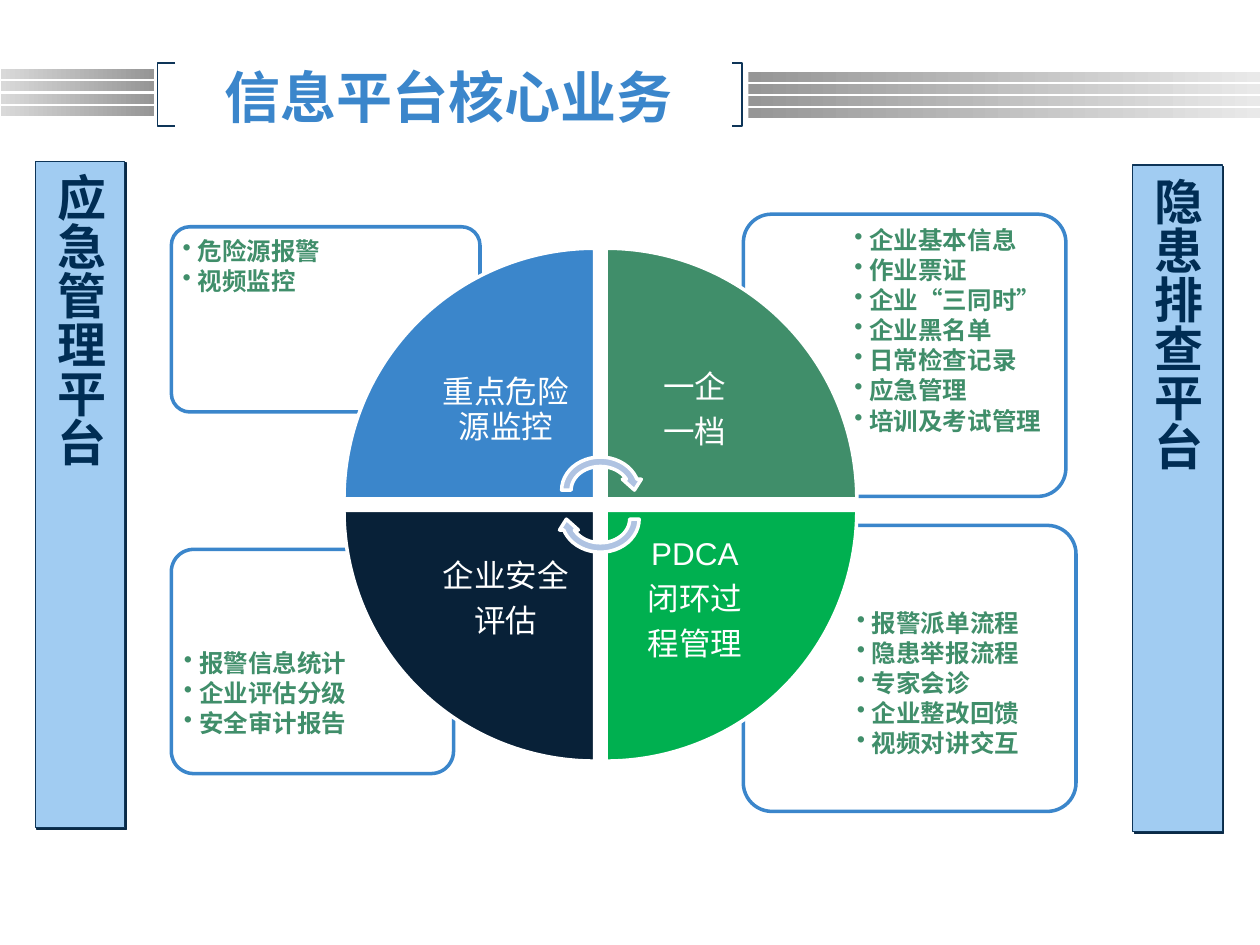
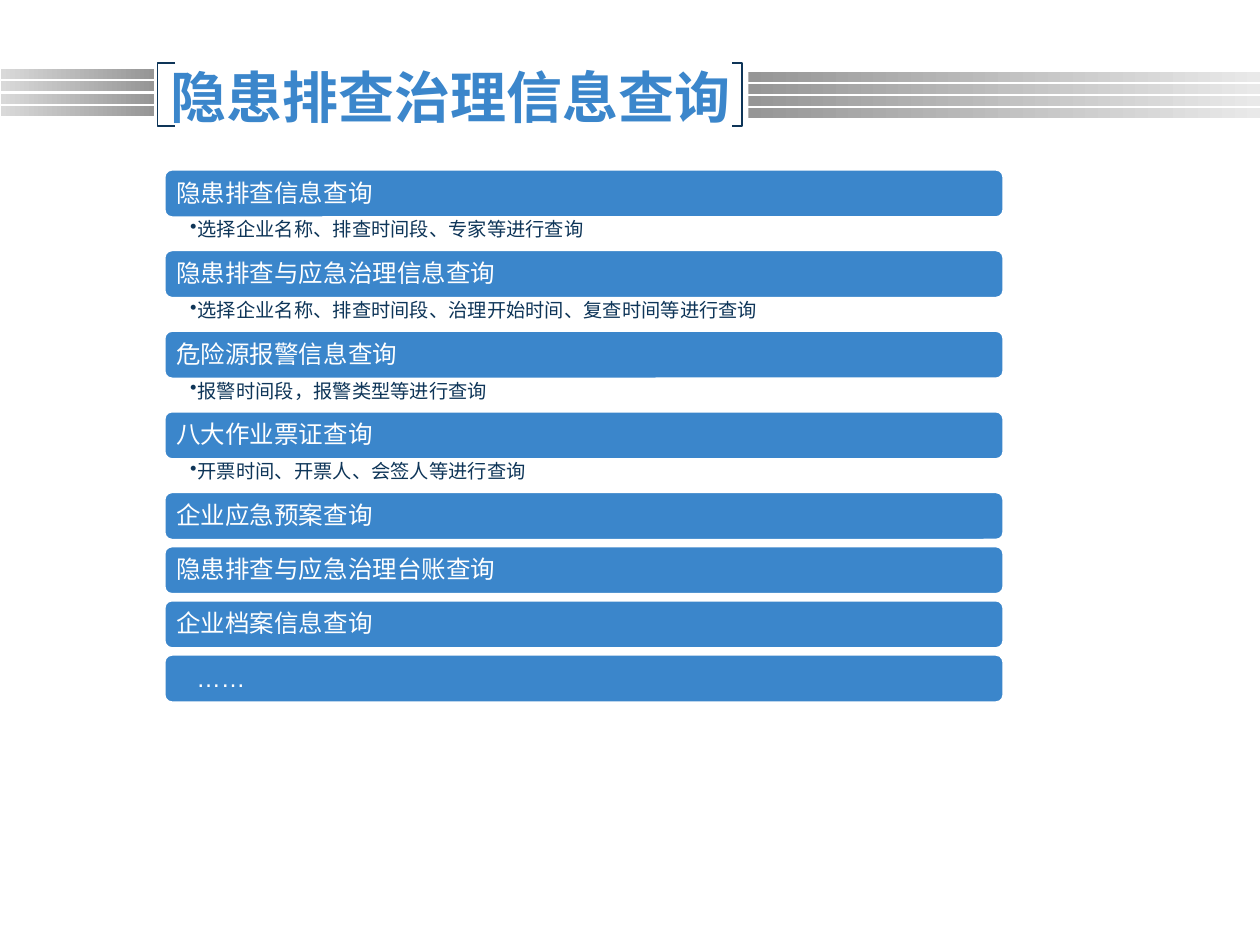
import dataclasses
import typing

import pptx
import pptx.dml.color
import pptx.enum.shapes
import pptx.enum.text
import pptx.oxml.ns
import pptx.util
from lxml import etree

Inches = pptx.util.Inches
Pt = pptx.util.Pt
SHAPE = pptx.enum.shapes.MSO_SHAPE
ALIGN = pptx.enum.text.PP_ALIGN
ANCHOR = pptx.enum.text.MSO_ANCHOR
qn = pptx.oxml.ns.qn


@dataclasses.dataclass(frozen=True)
class Theme:
    latin: str = "Arial"
    cjk: str = "Noto Sans CJK SC"
    white: str = "FFFFFF"
    blue: str = "3B86CB"
    navy: str = "0E3558"
    midnight: str = "082138"
    sea_green: str = "408E6A"
    bright_green: str = "00B050"
    arrow: str = "AFC3E2"
    pillar: str = "A1CCF2"
    pillar_text: str = "002D54"
    pillar_shadow: str = "0B2A46"
    stripe_dark: str = "969696"
    stripe_left: str = "D9D9D9"
    stripe_right: str = "E9E9E9"
    title_size: float = 32
    pillar_size: float = 28
    wedge_size: float = 18
    body_size: float = 14
    detail_size: float = 11
    line_ratio: float = 1.11


THEME = Theme()


class Box(typing.NamedTuple):
    left: float
    top: float
    width: float
    height: float

    def emu(self) -> list[int]:
        return [Inches(value) for value in self]


@dataclasses.dataclass(frozen=True)
class TextStyle:
    size: float
    color: str
    bold: bool = False
    latin: str = THEME.latin
    align: ALIGN = ALIGN.LEFT
    anchor: ANCHOR = ANCHOR.MIDDLE
    insets: tuple[float, float, float, float] = (0.1, 0.05, 0.1, 0.05)
    exact_lines: bool = True
    space_after: float = 0
    bullet_indent: float = 0
    left_indent: float = 0


TITLE = TextStyle(THEME.title_size, THEME.blue, True, THEME.cjk, ALIGN.CENTER, exact_lines=False)
PILLAR = TextStyle(THEME.pillar_size, THEME.pillar_text, True, exact_lines=False)
CALLOUT = TextStyle(THEME.body_size, THEME.sea_green, True, THEME.cjk, anchor=ANCHOR.TOP,
                    insets=(0.06,) * 4, space_after=1.7, bullet_indent=0.12)
WEDGE = TextStyle(THEME.wedge_size, THEME.white, align=ALIGN.CENTER,
                  insets=(0.14,) * 4, space_after=5.7)
HEADING = TextStyle(THEME.body_size, THEME.white, insets=(0.08,) * 4)
DETAIL = TextStyle(THEME.detail_size, THEME.navy, anchor=ANCHOR.TOP,
                   insets=(0.21, 0.02, 0.11, 0.02), bullet_indent=0.06)


@dataclasses.dataclass(frozen=True)
class Callout:
    frame: Box
    text_area: Box
    items: tuple[str, ...]


@dataclasses.dataclass(frozen=True)
class Wedge:
    column: int
    row: int
    rotation: int
    color: str
    lines: tuple[str, ...]


@dataclasses.dataclass(frozen=True)
class Query:
    heading: str
    detail: str = ""
    indent: float = 0


CALLOUTS = (
    Callout(Box(5.9, 4.17, 2.64, 2.27), Box(6.74, 4.78, 1.75, 1.6),
            ("报警派单流程", "隐患举报流程", "专家会诊", "企业整改回馈", "视频对讲交互")),
    Callout(Box(1.36, 4.36, 2.24, 1.78), Box(1.4, 5.1, 1.49, 1.01),
            ("报警信息统计", "企业评估分级", "安全审计报告")),
    Callout(Box(5.9, 1.7, 2.56, 2.24), Box(6.72, 1.74, 1.69, 1.58),
            ("企业基本信息", "作业票证", "企业“三同时”", "企业黑名单",
             "日常检查记录", "应急管理", "培训及考试管理")),
    Callout(Box(1.36, 1.8, 2.45, 1.47), Box(1.39, 1.83, 1.65, 1.04),
            ("危险源报警", "视频监控")),
)

WEDGES = (
    Wedge(0, 0, 0, THEME.blue, ("重点危险源监控",)),
    Wedge(1, 0, 90, THEME.sea_green, ("一企", "一档")),
    Wedge(1, 1, 180, THEME.bright_green, ("PDCA", "闭环过", "程管理")),
    Wedge(0, 1, 270, THEME.midnight, ("企业安全", "评估")),
)

QUERIES = (
    Query("隐患排查信息查询", "选择企业名称、排查时间段、专家等进行查询"),
    Query("隐患排查与应急治理信息查询",
          "选择企业名称、排查时间段、治理开始时间、复查时间等进行查询"),
    Query("危险源报警信息查询", "报警时间段，报警类型等进行查询"),
    Query("八大作业票证查询", "开票时间、开票人、会签人等进行查询"),
    Query("企业应急预案查询"),
    Query("隐患排查与应急治理台账查询"),
    Query("企业档案信息查询"),
    Query("……", indent=0.16),
)


def rgb(value: str) -> pptx.dml.color.RGBColor:
    return pptx.dml.color.RGBColor.from_string(value)


def write(shape, lines: typing.Sequence[str], style: TextStyle) -> None:
    frame = shape.text_frame
    frame.word_wrap = True
    frame.vertical_anchor = style.anchor
    (frame.margin_left, frame.margin_top,
     frame.margin_right, frame.margin_bottom) = [Inches(inset) for inset in style.insets]
    for index, line in enumerate(lines):
        paragraph = frame.paragraphs[0] if index == 0 else frame.add_paragraph()
        properties = paragraph._p.get_or_add_pPr()
        hanging = Inches(style.bullet_indent)
        properties.set("marL", str(hanging + Inches(style.left_indent)))
        properties.set("indent", str(-hanging))
        if style.bullet_indent:
            etree.SubElement(properties, qn("a:buChar")).set("char", "•")
        paragraph.alignment = style.align
        if style.exact_lines:
            paragraph.line_spacing = Pt(style.size * THEME.line_ratio)
        paragraph.space_after = Pt(style.space_after)
        run = paragraph.add_run()
        run.text = line
        run.font.size = Pt(style.size)
        run.font.bold = style.bold
        run.font.color.rgb = rgb(style.color)
        run.font.name = style.latin
        east_asian = etree.SubElement(run._r.get_or_add_rPr(), qn("a:ea"))
        east_asian.set("typeface", THEME.cjk)


def add_text(slide, box: Box, lines: typing.Sequence[str], style: TextStyle) -> None:
    write(slide.shapes.add_textbox(*box.emu()), lines, style)


def add_block(slide, kind: SHAPE, box: Box, fill: str, line: str, line_width: float = 2):
    block = slide.shapes.add_shape(kind, *box.emu())
    block.shadow.inherit = False
    block.fill.solid()
    block.fill.fore_color.rgb = rgb(fill)
    block.line.color.rgb = rgb(line)
    block.line.width = Pt(line_width)
    return block


def add_stripes(slide, left: float, top: float, width: float, colors: tuple[str, str]) -> None:
    for index in range(4):
        box = Box(left, top + index * 0.096, width, 0.08)
        stripe = slide.shapes.add_shape(SHAPE.RECTANGLE, *box.emu())
        stripe.shadow.inherit = False
        stripe.line.fill.background()
        stripe.fill.gradient()
        stripe.fill.gradient_angle = 0
        for stop, color in zip(stripe.fill.gradient_stops, colors):
            stop.color.rgb = rgb(color)


def add_bracket(slide, tip: float, spine: float) -> None:
    top, bottom = Inches(0.5), Inches(1)
    builder = slide.shapes.build_freeform(Inches(tip), top)
    builder.add_line_segments(
        [(Inches(spine), top), (Inches(spine), bottom), (Inches(tip), bottom)], close=False)
    bracket = builder.convert_to_shape()
    bracket.shadow.inherit = False
    bracket.fill.background()
    bracket.line.color.rgb = rgb(THEME.navy)
    bracket.line.width = Pt(0.75)


def add_titled_slide(deck, title: str, title_box: Box):
    slide = deck.slides.add_slide(deck.slide_layouts[6])
    add_stripes(slide, 0.01, 0.55, 1.21, (THEME.stripe_left, THEME.stripe_dark))
    add_bracket(slide, 1.39, 1.25)
    add_stripes(slide, 5.94, 0.57, 4.06, (THEME.stripe_dark, THEME.stripe_right))
    add_bracket(slide, 5.81, 5.89)
    add_text(slide, title_box, [title], TITLE)
    return slide


def add_pillar(slide, left: float, top: float, name: str) -> None:
    """Draw a tall bar with vertical text and a hard shadow at lower right."""
    pillar = add_block(slide, SHAPE.RECTANGLE, Box(left, top, 0.71, 5.29),
                       THEME.pillar, THEME.navy, 0.75)
    effects = pillar._element.spPr.find(qn("a:effectLst"))
    shadow = etree.SubElement(effects, qn("a:outerShdw"), blurRad="0",
                              dist=str(Pt(1.4)), dir="2700000", algn="tl", rotWithShape="0")
    etree.SubElement(shadow, qn("a:srgbClr"), val=THEME.pillar_shadow)
    write(pillar, [name], PILLAR)
    pillar.text_frame._txBody.bodyPr.set("vert", "eaVert")


def add_wedge(slide, wedge: Wedge) -> None:
    size, pitch, label_size = 1.99, 2.08, 1.41
    box = Box(2.73 + wedge.column * pitch, 1.97 + wedge.row * pitch, size, size)
    sector = add_block(slide, SHAPE.PIE_WEDGE, box, wedge.color, THEME.white)
    sector.rotation = wedge.rotation
    inward = size - label_size
    label = Box(box.left + (1 - wedge.column) * inward, box.top + (1 - wedge.row) * inward,
                label_size, label_size)
    add_text(slide, label, wedge.lines, WEDGE)


def build_core_business(deck) -> None:
    slide = add_titled_slide(deck, "信息平台核心业务", Box(1.31, 0.5, 4.5, 0.53))
    for callout in CALLOUTS:
        frame = add_block(slide, SHAPE.ROUNDED_RECTANGLE, callout.frame, THEME.white, THEME.blue)
        frame.adjustments[0] = 0.1
        add_text(slide, callout.text_area, callout.items, CALLOUT)
    for wedge in WEDGES:
        add_wedge(slide, wedge)
    for top, rotation in ((3.59, 0), (3.82, 180)):
        cycle = add_block(slide, SHAPE.CIRCULAR_ARROW, Box(4.42, top, 0.69, 0.6),
                          THEME.arrow, THEME.white)
        cycle.rotation = rotation
    add_pillar(slide, 8.99, 1.31, "隐患排查平台")
    add_pillar(slide, 0.28, 1.28, "应急管理平台")


def build_queries(deck) -> None:
    slide = add_titled_slide(deck, "隐患排查治理信息查询", Box(1.22, 0.5, 4.71, 0.53))
    left, top, width = 1.3, 1.34, 6.67
    for query in QUERIES:
        bar = add_block(slide, SHAPE.ROUNDED_RECTANGLE, Box(left, top, width, 0.39),
                        THEME.blue, THEME.white)
        write(bar, [query.heading], dataclasses.replace(HEADING, left_indent=query.indent))
        if query.detail:
            add_text(slide, Box(left, top + 0.38, width, 0.25), [query.detail], DETAIL)
        top += 0.64 if query.detail else 0.43


def main() -> None:
    deck = pptx.Presentation()
    deck.slide_width, deck.slide_height = Inches(10), Inches(7.5)
    build_core_business(deck)
    build_queries(deck)
    deck.save("out.pptx")


if __name__ == "__main__":
    main()
